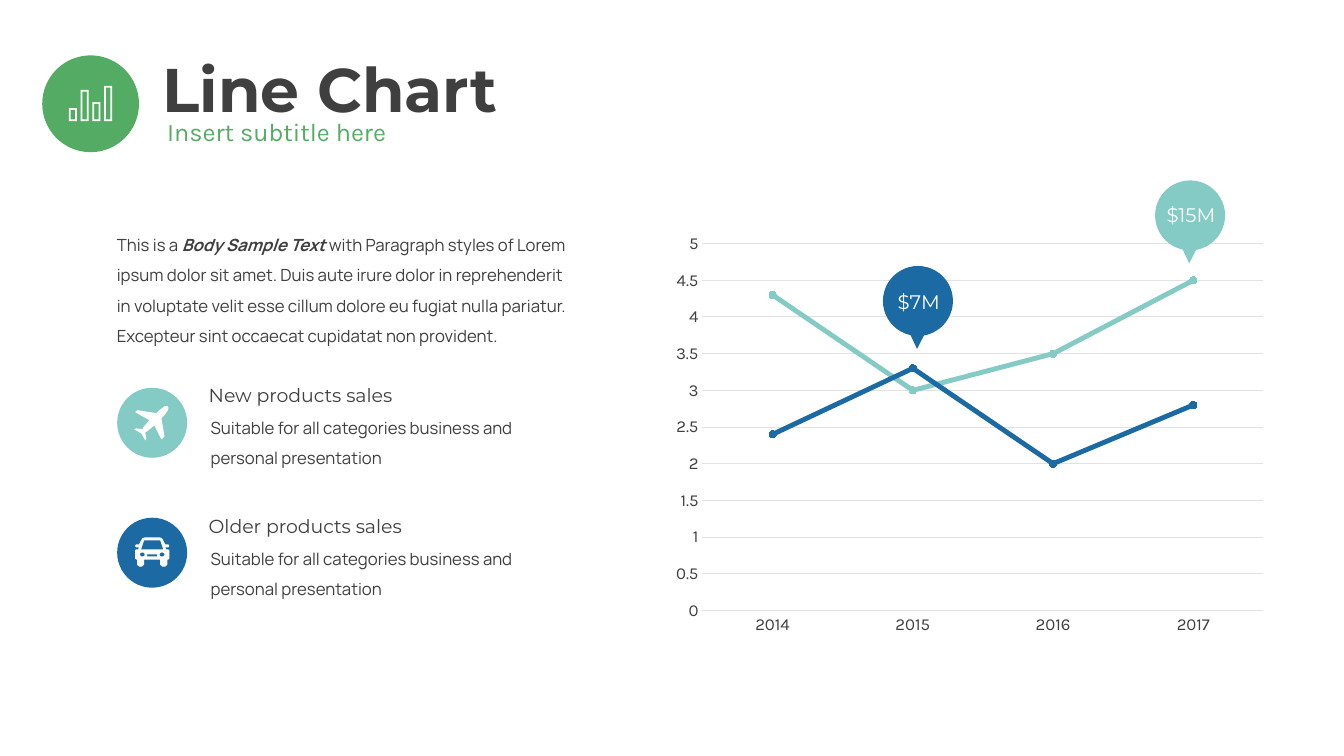
import math
from lxml import etree
from pptx import Presentation
from pptx import util as u
from pptx.chart.data import CategoryChartData
from pptx.dml.color import RGBColor
from pptx.enum import chart as charts, shapes, text
from pptx.oxml import parse_xml
from pptx.oxml.ns import nsdecls

# Content
TITLE = "Line Chart"
SUBTITLE = "Insert subtitle here"
BODY = [
    ("This is a ", False),
    ("Body Sample Text ", True),
    ("with Paragraph styles of Lorem ipsum dolor sit amet. Duis aute irure dolor "
     "in reprehenderit in voluptate velit esse cillum dolore eu fugiat nulla pariatur. "
     "Excepteur sint occaecat cupidatat non provident.", False),
]
DETAIL = "Suitable for all categories business and personal presentation"
YEARS = ["2014", "2015", "2016", "2017"]
SERIES = [
    ("Series 1", [4.3, 3, 3.5, 4.5], "teal"),
    ("Series 2", [2.4, 3.3, 2, 2.8], "blue"),
]
# Callouts: label, colour, left, top, label left, label top, label width
CALLOUTS = [
    ("$15M", "teal", 825.1, 128.9, 823.7, 141.1, 54),
    ("$7M", "blue", 630.7, 190, 633.6, 203.8, 45.4),
]


class Theme:
    colors = {"ink": "3F3F3F", "green": "54AC64", "teal": "84CBC5",
              "blue": "1B6AA3", "grid": "E2E2E2", "white": "FFFFFF"}
    heading, accent, body = "Montserrat", "Karla", "Manrope"
    title_size, subtitle_size, callout_size = 44, 18, 14
    item_size, body_size, axis_size = 13.5, 12, 12


# Icon outlines, in units of 0.72 pt
ICON_UNIT = 0.72
PLANE = [[(33, 1), (30, 1.2), (25, 5), (22, 8), (3, 5), (1, 7), (15, 15), (9, 22),
          (8, 24), (2, 23), (0, 24), (7, 28), (11, 35), (12, 33), (11, 27), (13, 26),
          (20, 20), (27, 34), (30, 31), (27, 13), (30, 10), (33.5, 5), (34, 2.5)]]
CAR_CENTRE = 17
CAR_HALVES = [
    [(10, 0), (7.5, 0.7), (6, 3), (4, 7), (1, 7), (0, 8.5), (1, 10), (4, 10), (3, 12),
     (1, 12), (0, 13), (0, 21), (1, 22), (2, 22), (2, 27), (4, 29), (7, 29), (9, 27),
     (9, 22)],
    [(14, 3), (9, 3), (6, 12)],
    [(12, 17), (12, 19)],
]


def mirror(half):
    return half + [(2 * CAR_CENTRE - x, y) for x, y in reversed(half)]


def ring(cx, cy, rx, ry, count=16):
    angles = [2 * math.pi * step / count for step in range(count)]
    return [(cx + rx * math.cos(a), cy + ry * math.sin(a)) for a in angles]


def rectangle(left, top, right, bottom):
    return [(left, top), (right, top), (right, bottom), (left, bottom)]


CAR = [mirror(half) for half in CAR_HALVES] + [
    ring(CAR_CENTRE + side * 9.75, 17, 2.4, 2) for side in (-1, 1)]
BARS = [rectangle(11.67 * i + inset, top + inset, 11.67 * i + 8 - inset, 35 - inset)
        for i, top in enumerate((22, 4, 16, 0)) for inset in (0, 1.7)]

# Items: heading, colour, icon, icon left, icon top
ITEMS = [
    ("New products sales", "teal", PLANE, 95.9, 289.4),
    ("Older products sales", "blue", CAR, 96.5, 383.8),
]


def color(name):
    return RGBColor.from_string(Theme.colors[name])


def style(font, size, face, ink):
    font.size, font.name = u.Pt(size), face
    font.color.rgb = color(ink)


def write(box, content, *, size, face, ink="ink", bold=None, spacing=None,
          align=None, anchor=text.MSO_ANCHOR.TOP, margins=None, wrap=True):
    """Fill a box with one paragraph; content is text or (text, emphasis) pairs."""
    frame = box.text_frame
    frame.word_wrap, frame.vertical_anchor = wrap, anchor
    if margins is not None:
        frame.margin_left = frame.margin_right = u.Pt(margins)
        frame.margin_top = frame.margin_bottom = u.Pt(margins)
    para = frame.paragraphs[0]
    para.alignment, para.line_spacing = align, spacing
    for words, emphasis in [(content, False)] if isinstance(content, str) else content:
        span = para.add_run()
        span.text = words
        style(span.font, size, face, ink)
        span.font.bold = emphasis or bold
        span.font.italic = emphasis or None


def add_text(page, area, content, **format):
    write(page.shapes.add_textbox(*map(u.Pt, area)), content, **format)


def paint(shape, fill):
    shape.shadow.inherit = False
    shape.fill.solid()
    shape.fill.fore_color.rgb = color(fill)
    shape.line.fill.background()


def add_preset(page, kind, left, top, size, fill):
    shape = page.shapes.add_shape(kind, *map(u.Pt, (left, top, size, size)))
    paint(shape, fill)
    return shape


def add_icon(page, contours, left, top):
    scale = u.Pt(ICON_UNIT) / 100
    grids = [[(round(x * 100), round(y * 100)) for x, y in points] for points in contours]
    builder = page.shapes.build_freeform(*grids[0][0], scale=scale)
    for index, points in enumerate(grids):
        if index:
            builder.move_to(*points[0])
        builder.add_line_segments(points[1:], close=True)
    paint(builder.convert_to_shape(u.Pt(left), u.Pt(top)), "white")


def add_line_chart(page):
    data = CategoryChartData()
    data.categories = YEARS
    for name, values, _ in SERIES:
        data.add_series(name, values)
    area = map(u.Pt, (473.8, 160.6, 437, 298.8))
    chart = page.shapes.add_chart(charts.XL_CHART_TYPE.LINE_MARKERS, *area, data).chart
    chart.has_title = chart.has_legend = False
    style(chart.font, 10, Theme.accent, "ink")
    chart.plots[0].vary_by_categories = False

    # Axes
    for axis in (chart.category_axis, chart.value_axis):
        axis.major_tick_mark = axis.minor_tick_mark = charts.XL_TICK_MARK.NONE
        style(axis.tick_labels.font, Theme.axis_size, Theme.accent, "ink")
    values = chart.value_axis
    values.minimum_scale, values.maximum_scale, values.major_unit = 0, 5, 0.5
    values.has_major_gridlines = True
    values.format.line.fill.background()
    for line in (chart.category_axis.format.line, values.major_gridlines.format.line):
        line.color.rgb, line.width = color("grid"), u.Pt(0.75)

    # Series
    for series, (_, _, hue) in zip(chart.plots[0].series, SERIES):
        series.smooth = False
        series.format.line.color.rgb = color(hue)
        series.format.line.width = u.Pt(3.5)
        marker = series.marker
        marker.style, marker.size = charts.XL_MARKER_STYLE.CIRCLE, 5
        marker.format.fill.solid()
        marker.format.fill.fore_color.rgb = color(hue)
        marker.format.line.color.rgb = color(hue)

    # Plot position inside the chart
    plot_area = chart.plots[0]._element.getparent()
    for old in plot_area.findall("{*}layout"):
        plot_area.remove(old)
    layout = parse_xml(f"<c:layout {nsdecls('c')}><c:manualLayout/></c:layout>")
    settings = [("layoutTarget", "inner"), ("xMode", "edge"), ("yMode", "edge"),
                ("x", "0.064"), ("y", "0.045"), ("w", "0.917"), ("h", "0.877")]
    namespace = etree.QName(layout).namespace
    for tag, value in settings:
        etree.SubElement(layout[0], f"{{{namespace}}}{tag}").set("val", value)
    plot_area.insert(0, layout)


def main():
    deck = Presentation()
    deck.slide_width, deck.slide_height = u.Pt(960), u.Pt(540)
    page = deck.slides.add_slide(deck.slide_layouts[5])
    middle = text.MSO_ANCHOR.MIDDLE
    ellipse = shapes.MSO_SHAPE.OVAL

    # Header
    title = page.shapes.title
    title.left, title.top, title.width, title.height = map(u.Pt, (108.7, 28.8, 792, 74.2))
    write(title, TITLE, size=Theme.title_size, face=Theme.heading, bold=True,
          spacing=0.9, align=text.PP_ALIGN.LEFT, anchor=middle)
    add_text(page, (112.3, 82.1, 794, 46.8), SUBTITLE, size=Theme.subtitle_size,
             face=Theme.accent, ink="green", spacing=0.9)
    add_preset(page, ellipse, 30.2, 39.6, 69.1, "green")
    add_icon(page, BARS, 49.2, 61.4)

    # Body text and items
    body = dict(size=Theme.body_size, face=Theme.body, spacing=1.5, margins=0)
    add_text(page, (83.5, 160.6, 329, 84.2), BODY, **body)
    for row, (heading, hue, icon, left, top) in enumerate(ITEMS):
        shift = 93.6 * row
        add_preset(page, ellipse, 83.7, 277 + 92.8 * row, 50, hue)
        add_icon(page, icon, left, top)
        add_text(page, (150.5, 290.9 + shift, 257, 41), DETAIL, **body)
        add_text(page, (146.2, 272.9 + shift, 262, 20.9), heading, size=Theme.item_size,
                 face=Theme.heading, spacing=0.9, margins=2.9, anchor=middle)

    # Chart and callouts
    add_line_chart(page)
    for label, hue, left, top, label_left, label_top, width in CALLOUTS:
        bubble = add_preset(page, shapes.MSO_SHAPE.OVAL_CALLOUT, left, top, 50, hue)
        bubble.adjustments[0], bubble.adjustments[1] = -0.013, 0.685
        add_text(page, (label_left, label_top, width, 24.5), label, ink="white",
                 size=Theme.callout_size, face=Theme.heading,
                 align=text.PP_ALIGN.CENTER, wrap=False)

    deck.save("out.pptx")


if __name__ == "__main__":
    main()
